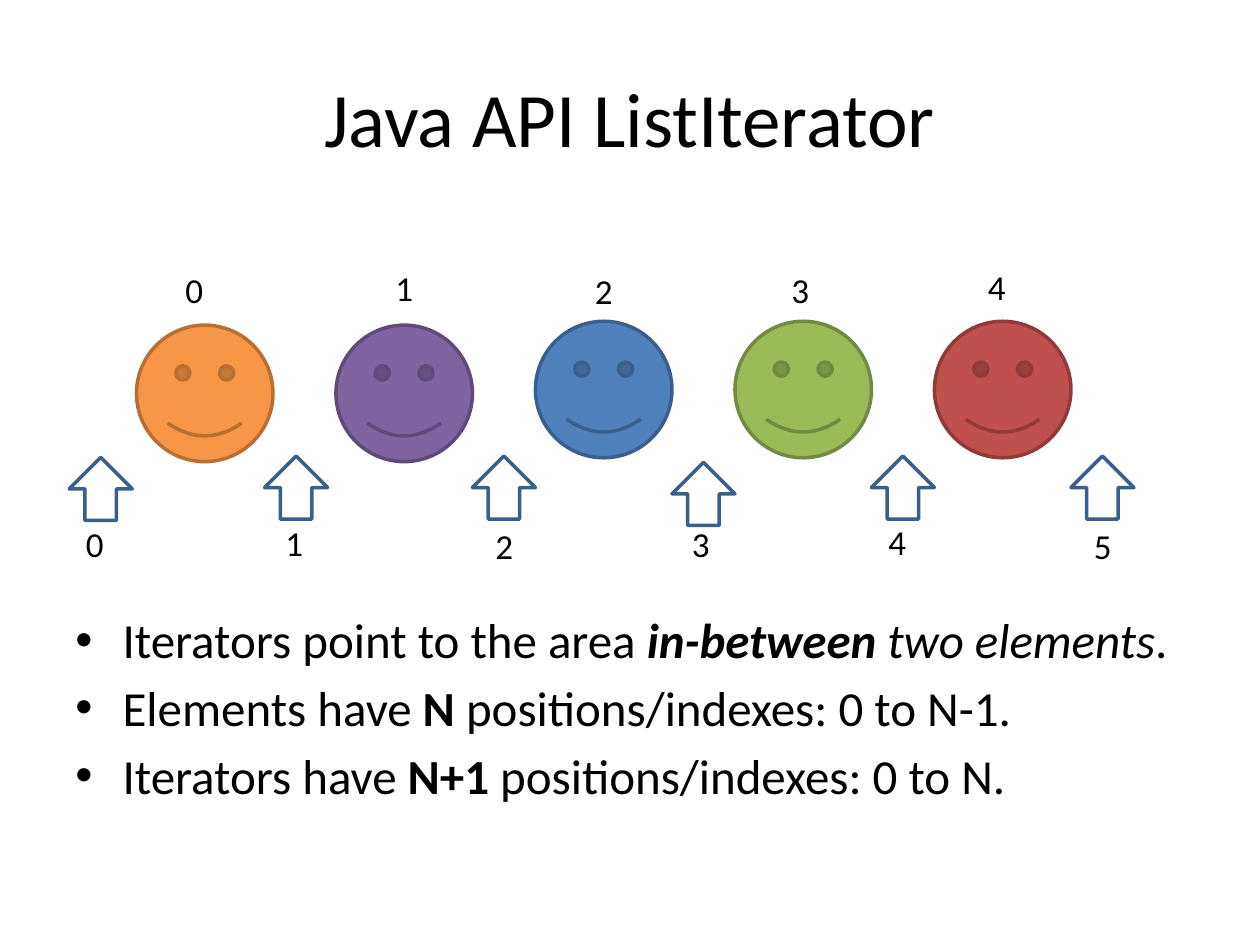
from collections import namedtuple
from dataclasses import dataclass

from lxml.etree import SubElement
from pptx import Presentation
from pptx.dml.color import RGBColor
from pptx.enum.shapes import MSO_SHAPE as Shape
from pptx.enum.text import MSO_ANCHOR as Anchor, MSO_AUTO_SIZE as AutoSize, PP_ALIGN as Align
from pptx.oxml.ns import qn
from pptx.util import Pt

Box = namedtuple("Box", "x y w h")


@dataclass(frozen=True)
class Theme:
    font: str = "Calibri"
    title: int = 44
    body: int = 28
    label: int = 20
    text: str = "000000"
    paper: str = "FFFFFF"
    arrow: str = "3A5F8C"
    line: int = 2


THEME = Theme()
PITCH = 114    # distance between neighbouring elements
FACE = 78
ARROW = 36
LABEL_H = 31.7

# fill, line, face top, label offset from the face's left, label top
ELEMENTS = [
    ("F79646", "B76F34", 37.8, -6, 1.8),
    ("8064A2", "5F4A78", 37.8, 0, 1),
    ("4F81BD", "3A5F8C", 35.6, 0, 2.5),
    ("9BBB59", "738A42", 35.6, -1.7, 1.8),
    ("C0504D", "8E3B39", 35.6, -3.4, 0.3),
]
# arrow offset from its grid place, arrow top, label left from the grid place,
# label top, label width
ITERATORS = [
    (-2.4, 1.4, -26.9, 35.2, 78),
    (-4.8, 0.6, -30.7, 34.5, 85.7),
    (0, 0.6, -20.9, 35.9, 78),
    (0, 4.2, -22.6, 35.2, 78),
    (0, 0.6, -24.2, 33.8, 78),
    (0, 0.6, -20.9, 35.9, 78),
]
BULLETS = [
    [("Iterators point to the area ", {}), ("in-between", {"bold": True, "italic": True}),
     (" two elements", {"italic": True}), (".", {})],
    [("Elements have ", {}), ("N", {"bold": True}), (" positions/indexes: 0 to N-1.", {})],
    [("Iterators have ", {}), ("N+1", {"bold": True}), (" positions/indexes: 0 to N.", {})],
]


def add_run(p, text, size, **style):
    r = p.add_run()
    r.text = text
    for name, value in {"name": THEME.font, "size": Pt(size), **style}.items():
        setattr(r.font, name, value)
    r.font.color.rgb = RGBColor.from_string(THEME.text)


def add_text_frame(s, box, **settings):
    tf = s.shapes.add_textbox(*map(Pt, box)).text_frame
    for name, value in {"word_wrap": True, **settings}.items():
        setattr(tf, name, value)
    return tf


def add_centred(s, box, text, size, **settings):
    p = add_text_frame(s, box, **settings).paragraphs[0]
    p.alignment = Align.CENTER
    add_run(p, text, size)


def add_label(s, box, index):
    add_centred(s, box, str(index), THEME.label, auto_size=AutoSize.SHAPE_TO_FIT_TEXT)


def add_figure(s, kind, box, fill, line):
    sp = s.shapes.add_shape(kind, *map(Pt, box))
    sp.shadow.inherit = False
    sp.fill.solid()
    sp.fill.fore_color.rgb = RGBColor.from_string(fill)
    sp.line.color.rgb = RGBColor.from_string(line)
    sp.line.width = Pt(THEME.line)
    return sp


def add_title(s, box):
    add_centred(s, box, "Java API ListIterator", THEME.title, vertical_anchor=Anchor.MIDDLE)


def add_elements(s, box):
    for i, (fill, line, face_y, label_dx, label_y) in enumerate(ELEMENTS):
        x = box.x + i * PITCH
        add_figure(s, Shape.SMILEY_FACE, Box(x, box.y + face_y, FACE, FACE), fill, line)
        add_label(s, Box(x + label_dx, box.y + label_y, FACE, LABEL_H), i)


def add_iterators(s, box):
    for i, (arrow_dx, arrow_y, label_dx, label_y, label_w) in enumerate(ITERATORS):
        x = box.x + i * PITCH
        arrow = add_figure(s, Shape.RIGHT_ARROW, Box(x + arrow_dx, box.y + arrow_y, ARROW, ARROW),
                           THEME.paper, THEME.arrow)
        arrow.rotation = 270
        add_label(s, Box(x + label_dx, box.y + label_y, label_w, LABEL_H), i)


def add_bullets(s, box):
    tf = add_text_frame(s, box)
    for i, runs in enumerate(BULLETS):
        p = tf.add_paragraph() if i else tf.paragraphs[0]
        p.space_before = Pt(5 if i else 0)
        pPr = p._p.get_or_add_pPr()
        pPr.set("marL", str(Pt(27)))
        pPr.set("indent", str(Pt(-27)))
        SubElement(pPr, qn("a:buFont"), typeface="Arial")
        SubElement(pPr, qn("a:buChar"), char="•")
        for text, style in runs:
            add_run(p, text, THEME.body, **style)


def main():
    prs = Presentation()
    prs.slide_width, prs.slide_height = Pt(720), Pt(540)
    s = prs.slides.add_slide(prs.slide_layouts[6])
    add_title(s, Box(36, 21.6, 648, 90))
    # Elements with their indexes, and the iterator positions between them
    add_elements(s, Box(78, 148, 534, 116))
    add_iterators(s, Box(42, 260, 606, 68))
    add_bullets(s, Box(36, 345, 648, 137.5))
    prs.save("out.pptx")


if __name__ == "__main__":
    main()
